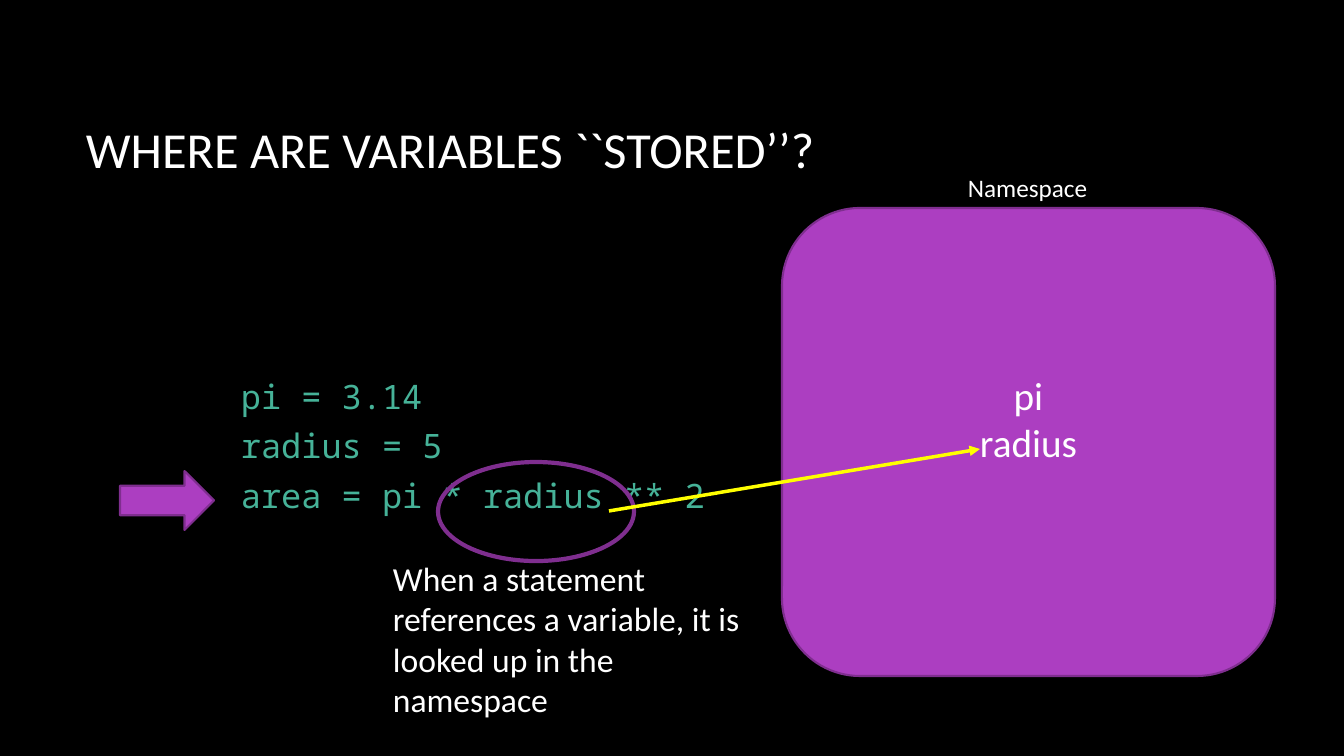
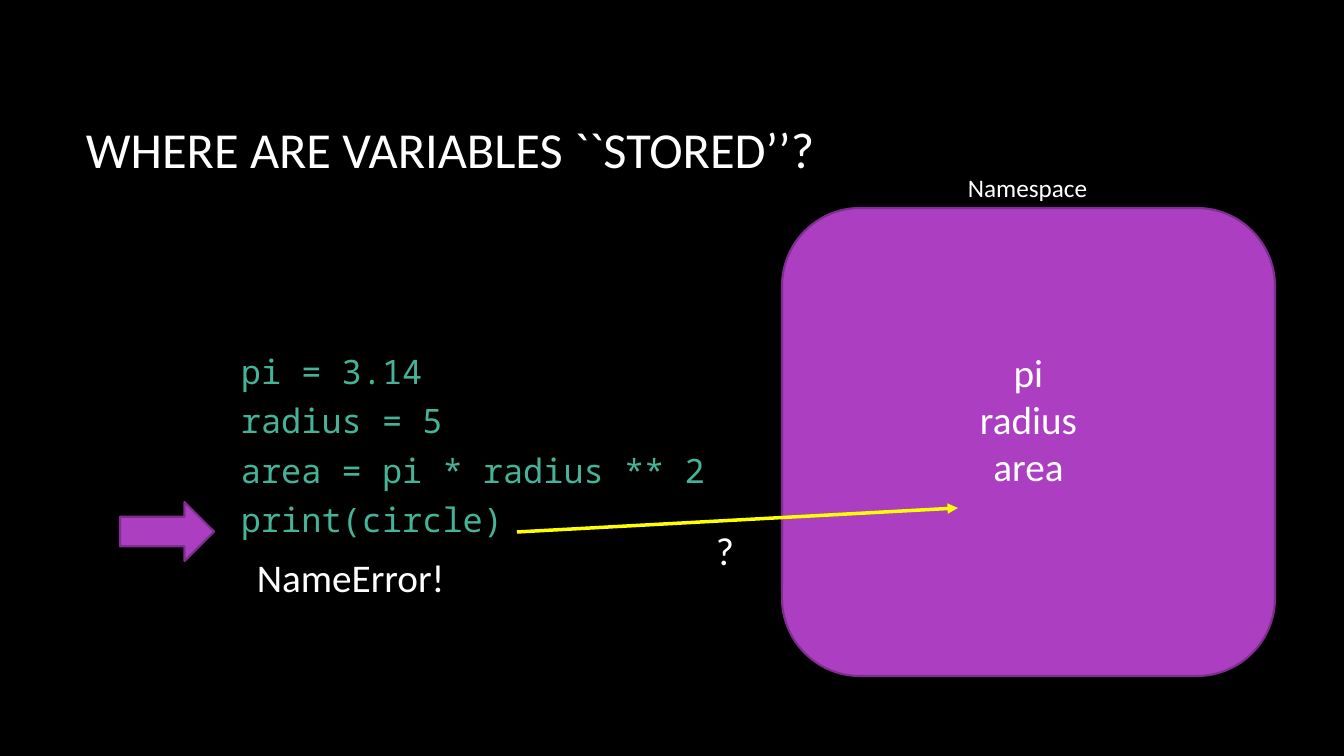
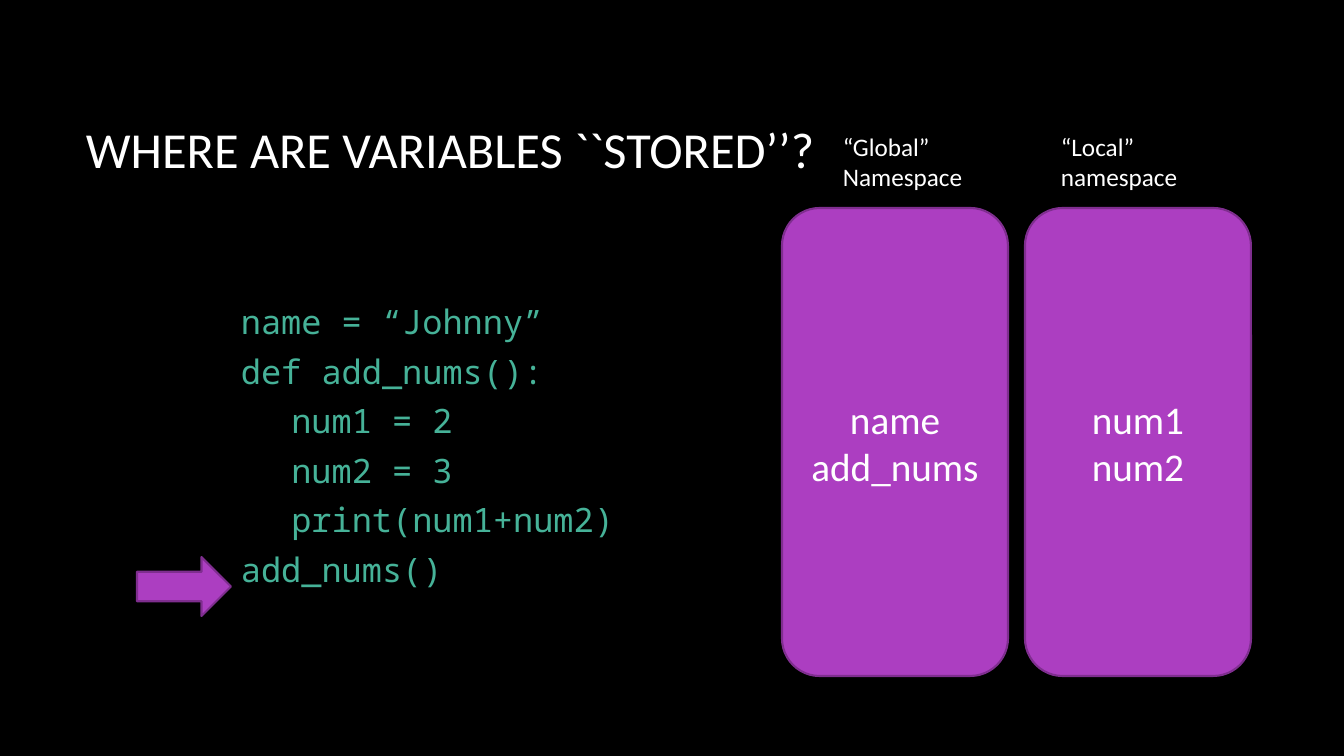
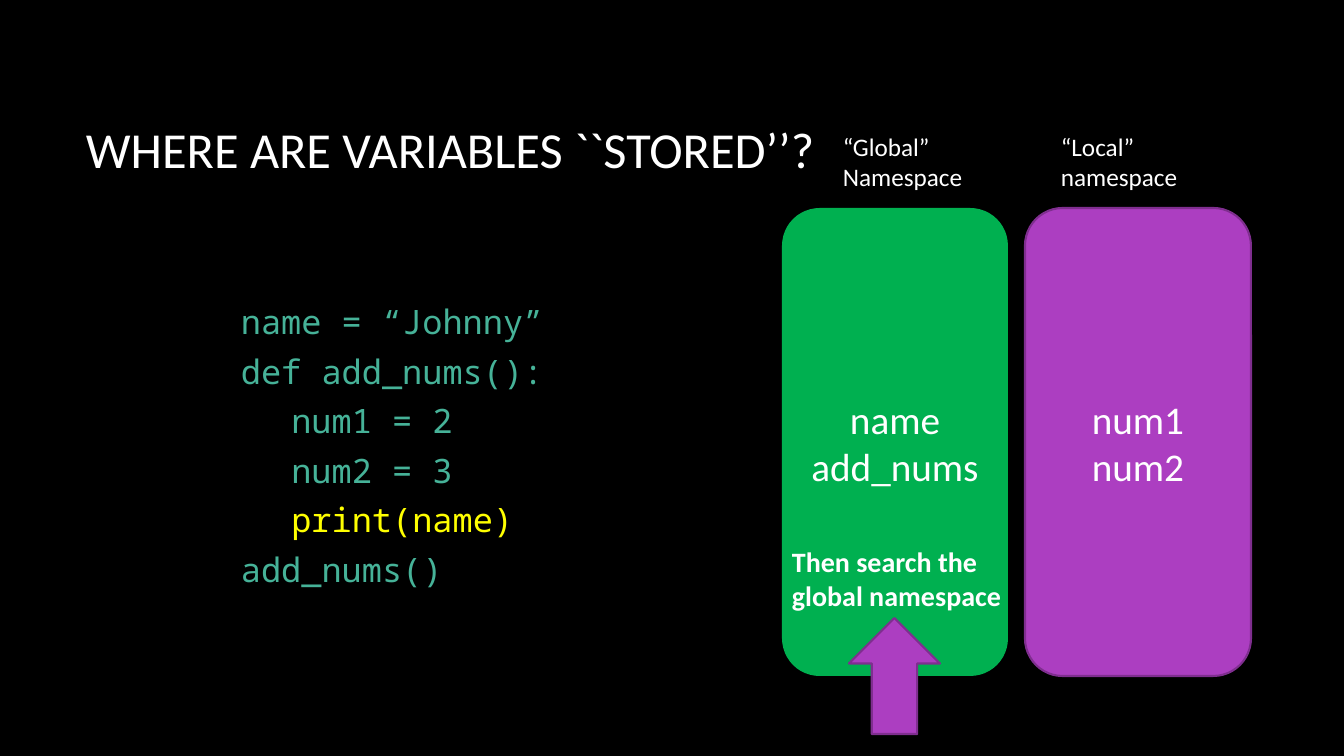
"""Build four slides on where Python variables are stored."""
from dataclasses import dataclass

import lxml.etree
import pptx
import pptx.dml.color
import pptx.enum.shapes
import pptx.enum.text
import pptx.oxml
import pptx.oxml.ns
import pptx.presentation
import pptx.shapes.autoshape
import pptx.slide
import pptx.text.text
import pptx.util

COLORS = {
    "background": "000000",
    "text": "FFFFFF",
    "code": "46B298",
    "highlight": "FFFF00",
    "accent": "AC3EC1",
    "outline": "7F2E8F",
    "searched": "00B050",
}
TEXT_FONT = "Calibri"
CODE_FONT = "Noto Sans Mono"
EMU_PER_INCH = 914400
PX_PER_TENTH_INCH = 10.08
TITLE = "WHERE ARE VARIABLES ``STORED’’?"
AUTOSHAPE = pptx.enum.shapes.MSO_SHAPE
ANCHOR = pptx.enum.text.MSO_ANCHOR


def px(length: int) -> pptx.util.Emu:
    """Convert pixels to EMU."""
    return pptx.util.Emu(round(length * EMU_PER_INCH / (10 * PX_PER_TENTH_INCH)))


@dataclass(frozen=True)
class Area:
    left: int
    top: int
    width: int
    height: int

    def emu(self) -> tuple[pptx.util.Emu, ...]:
        """Return the four lengths in EMU."""
        return px(self.left), px(self.top), px(self.width), px(self.height)


@dataclass(frozen=True)
class Outline:
    kind: AUTOSHAPE
    area: Area
    fill: str | None = "accent"
    line: str | None = "outline"
    line_width: float = 1.5


@dataclass(frozen=True)
class Namespace:
    area: Area
    names: tuple[str, ...]
    fill: str = "accent"
    line: str | None = "outline"
    bottom_inset: int = 5


@dataclass(frozen=True)
class Label:
    text: str
    area: Area
    size: int
    bold: bool = False
    wrap: bool = True


@dataclass(frozen=True)
class Lookup:
    start: tuple[int, int]
    end: tuple[int, int]


@dataclass(frozen=True)
class Step:
    code: tuple[str, ...]
    namespaces: tuple[Namespace, ...]
    labels: tuple[Label, ...]
    markers: tuple[Outline, ...]
    lookup: Lookup | None = None
    current_line: int | None = None


TITLE_AREA = Area(76, 68, 1117, 160)
CODE_AREA = Area(231, 247, 514, 402)
SINGLE_AREA = Area(782, 208, 493, 468)
GLOBAL_AREA, LOCAL_AREA = (Area(782 + 243 * column, 208, 226, 468) for column in range(2))
SPARE_ROW_INSET = 52


def single_namespace(*names: str) -> Namespace:
    """Describe the one wide namespace, with room left for another name."""
    return Namespace(SINGLE_AREA, names, bottom_inset=SPARE_ROW_INSET)


def statement_arrow(left: int, top: int) -> Outline:
    """Describe the arrow pointing at the running statement."""
    return Outline(AUTOSHAPE.RIGHT_ARROW, Area(left, top, 94, 59))


CIRCLE_CODE = ("pi = 3.14", "radius = 5", "area = pi * radius ** 2")
FUNCTION_START = ("name = “Johnny”", "def add_nums():", "\tnum1 = 2", "\tnum2 = 3")
GLOBAL_NAMES = ("name", "add_nums")
LOCAL_NAMESPACE = Namespace(LOCAL_AREA, ("num1", "num2"))
NAMESPACE_LABEL = Label("Namespace", Area(958, 167, 141, 40), 18, wrap=False)
SCOPE_LABELS = (
    Label("“Global” Namespace", Area(833, 126, 160, 72), 18),
    Label("“Local” namespace", Area(1051, 126, 200, 72), 18),
)

STEPS = (
    Step(
        code=CIRCLE_CODE,
        namespaces=(single_namespace("pi", "radius"),),
        labels=(
            NAMESPACE_LABEL,
            Label(
                "When a statement references a variable, it is looked up in the namespace",
                Area(383, 553, 380, 173),
                24,
            ),
        ),
        markers=(
            statement_arrow(120, 471),
            Outline(AUTOSHAPE.OVAL, Area(438, 462, 196, 99), fill=None, line_width=3),
        ),
        lookup=Lookup((609, 511), (980, 449)),
    ),
    Step(
        code=CIRCLE_CODE + ("print(circle)",),
        namespaces=(single_namespace("pi", "radius", "area"),),
        labels=(
            NAMESPACE_LABEL,
            Label("?", Area(706, 521, 38, 57), 28, wrap=False),
            Label("NameError!", Area(247, 548, 210, 57), 28, wrap=False),
        ),
        markers=(statement_arrow(120, 502),),
        lookup=Lookup((517, 532), (958, 508)),
    ),
    Step(
        code=FUNCTION_START + ("\tprint(num1+num2)", "add_nums()"),
        namespaces=(Namespace(GLOBAL_AREA, GLOBAL_NAMES), LOCAL_NAMESPACE),
        labels=SCOPE_LABELS,
        markers=(statement_arrow(137, 557),),
    ),
    Step(
        code=FUNCTION_START + ("\tprint(name)", "add_nums()"),
        namespaces=(
            Namespace(GLOBAL_AREA, GLOBAL_NAMES, fill="searched", line=None),
            LOCAL_NAMESPACE,
        ),
        labels=SCOPE_LABELS
        + (Label("Then search the global namespace", Area(782, 540, 261, 78), 20, bold=True),),
        markers=(Outline(AUTOSHAPE.UP_ARROW, Area(849, 618, 91, 116)),),
        current_line=4,
    ),
)


def rgb(name: str) -> pptx.dml.color.RGBColor:
    """Look up a colour by its role."""
    return pptx.dml.color.RGBColor.from_string(COLORS[name])


def add_run(
    paragraph: pptx.text.text._Paragraph,
    text: str,
    size: int,
    color: str = "text",
    font: str = TEXT_FONT,
    bold: bool = False,
) -> None:
    """Add one formatted run."""
    run = paragraph.add_run()
    run.text = text
    run.font.name = font
    run.font.size = pptx.util.Pt(size)
    run.font.bold = bold
    run.font.color.rgb = rgb(color)


def add_paragraphs(frame: pptx.text.text.TextFrame, count: int) -> tuple[pptx.text.text._Paragraph, ...]:
    """Extend a new text frame to the wanted number of paragraphs."""
    for _ in range(count - 1):
        frame.add_paragraph()
    return frame.paragraphs


def add_frame(slide: pptx.slide.Slide, area: Area, wrap: bool = True) -> pptx.text.text.TextFrame:
    """Add a text box and return its frame."""
    frame = slide.shapes.add_textbox(*area.emu()).text_frame
    frame.word_wrap = wrap
    return frame


def draw_title(slide: pptx.slide.Slide) -> None:
    """Draw the shared title."""
    frame = add_frame(slide, TITLE_AREA)
    frame.vertical_anchor = ANCHOR.MIDDLE
    add_run(frame.paragraphs[0], TITLE, 36)


def draw_code(slide: pptx.slide.Slide, step: Step) -> None:
    """Draw the code listing with its current line highlighted."""
    frame = add_frame(slide, CODE_AREA)
    frame.vertical_anchor = ANCHOR.MIDDLE
    for number, (paragraph, statement) in enumerate(
        zip(add_paragraphs(frame, len(step.code)), step.code)
    ):
        if statement.startswith("\t"):
            properties = paragraph._p.get_or_add_pPr()
            stops = lxml.etree.SubElement(properties, pptx.oxml.ns.qn("a:tabLst"))
            stop = lxml.etree.SubElement(stops, pptx.oxml.ns.qn("a:tab"))
            stop.set("pos", str(EMU_PER_INCH // 2))
            stop.set("algn", "l")
        paragraph.line_spacing = 0.88
        paragraph.space_after = pptx.util.Pt(10)
        color = "highlight" if number == step.current_line else "code"
        add_run(paragraph, statement, 24, color, CODE_FONT)


def draw_outline(slide: pptx.slide.Slide, outline: Outline) -> pptx.shapes.autoshape.Shape:
    """Draw a preset shape."""
    shape = slide.shapes.add_shape(outline.kind, *outline.area.emu())
    shape.shadow.inherit = False
    if outline.fill:
        shape.fill.solid()
        shape.fill.fore_color.rgb = rgb(outline.fill)
    else:
        shape.fill.background()
    if outline.line:
        shape.line.color.rgb = rgb(outline.line)
        shape.line.width = pptx.util.Pt(outline.line_width)
    else:
        shape.line.fill.background()
    return shape


def draw_namespace(slide: pptx.slide.Slide, namespace: Namespace) -> None:
    """Draw a namespace and the names it holds."""
    frame = draw_outline(
        slide,
        Outline(AUTOSHAPE.ROUNDED_RECTANGLE, namespace.area, namespace.fill, namespace.line),
    ).text_frame
    frame.word_wrap = True
    frame.vertical_anchor = ANCHOR.MIDDLE
    frame.margin_bottom = px(namespace.bottom_inset)
    for paragraph, name in zip(add_paragraphs(frame, len(namespace.names)), namespace.names):
        paragraph.alignment = pptx.enum.text.PP_ALIGN.CENTER
        add_run(paragraph, name, 28)


def draw_label(slide: pptx.slide.Slide, label: Label) -> None:
    """Draw a free-standing label."""
    frame = add_frame(slide, label.area, label.wrap)
    frame.auto_size = pptx.enum.text.MSO_AUTO_SIZE.SHAPE_TO_FIT_TEXT
    add_run(frame.paragraphs[0], label.text, label.size, bold=label.bold)


def draw_lookup(slide: pptx.slide.Slide, lookup: Lookup) -> None:
    """Draw the arrow from a variable into the namespace."""
    arrow = slide.shapes.add_connector(
        pptx.enum.shapes.MSO_CONNECTOR.STRAIGHT,
        *(px(length) for length in lookup.start + lookup.end),
    )
    arrow.line.color.rgb = rgb("highlight")
    arrow.line.width = pptx.util.Pt(2.5)
    head = lxml.etree.SubElement(arrow.line._get_or_add_ln(), pptx.oxml.ns.qn("a:tailEnd"))
    head.set("type", "triangle")
    lxml.etree.SubElement(arrow._element.spPr, pptx.oxml.ns.qn("a:effectLst"))


def draw_step(deck: pptx.presentation.Presentation, step: Step) -> None:
    """Draw one slide."""
    slide = deck.slides.add_slide(deck.slide_layouts[6])
    draw_title(slide)
    draw_code(slide, step)
    for namespace in step.namespaces:
        draw_namespace(slide, namespace)
    for marker in step.markers:
        draw_outline(slide, marker)
    if step.lookup:
        draw_lookup(slide, step.lookup)
    for label in step.labels:
        draw_label(slide, label)


def main() -> None:
    """Build and save the deck."""
    deck = pptx.Presentation()
    deck.slide_width, deck.slide_height = px(1344), px(756)
    background = deck.slide_master.background.fill
    background.solid()
    background.fore_color.rgb = rgb("background")
    for step in STEPS:
        draw_step(deck, step)
    deck.save("out.pptx")


if __name__ == "__main__":
    main()
